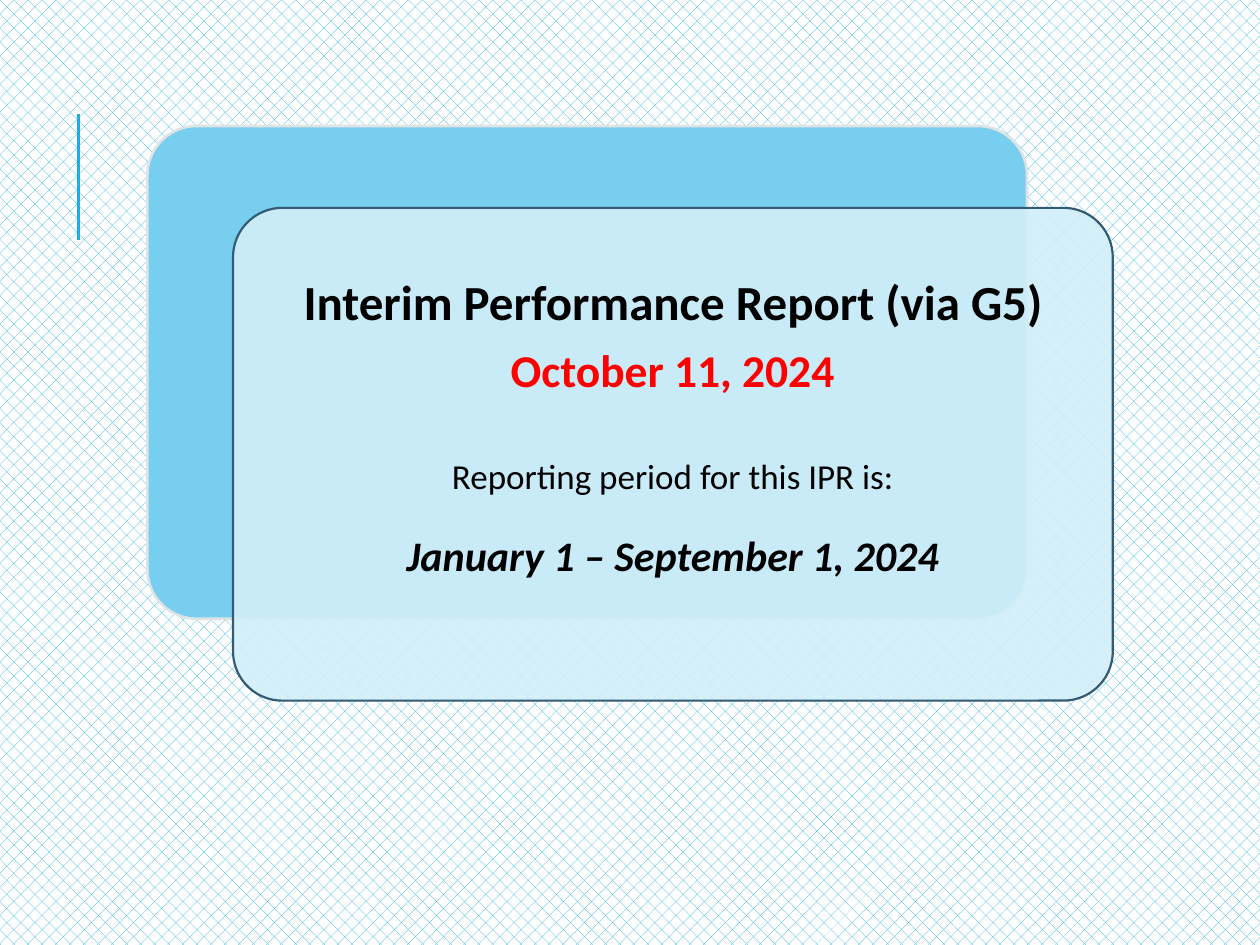
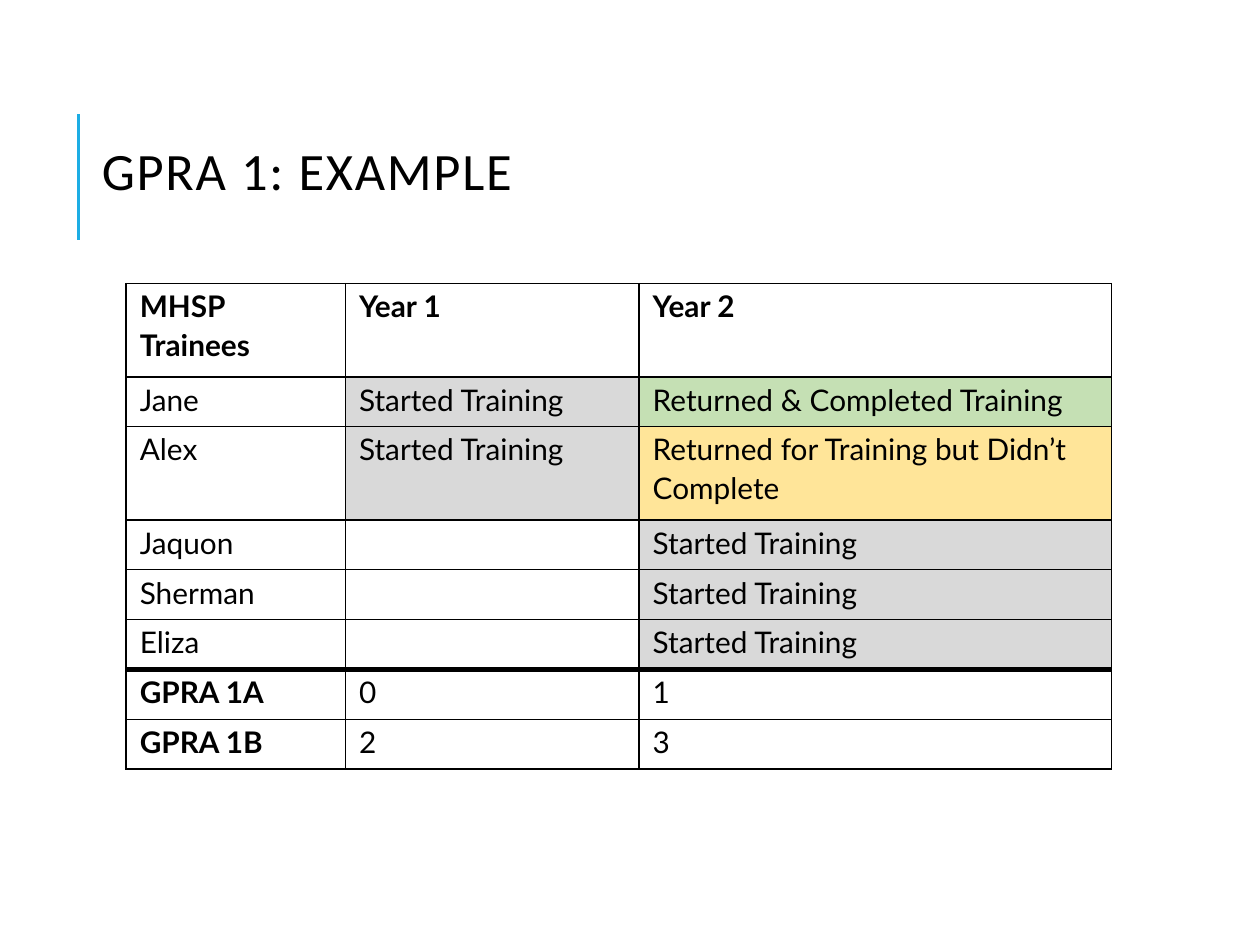
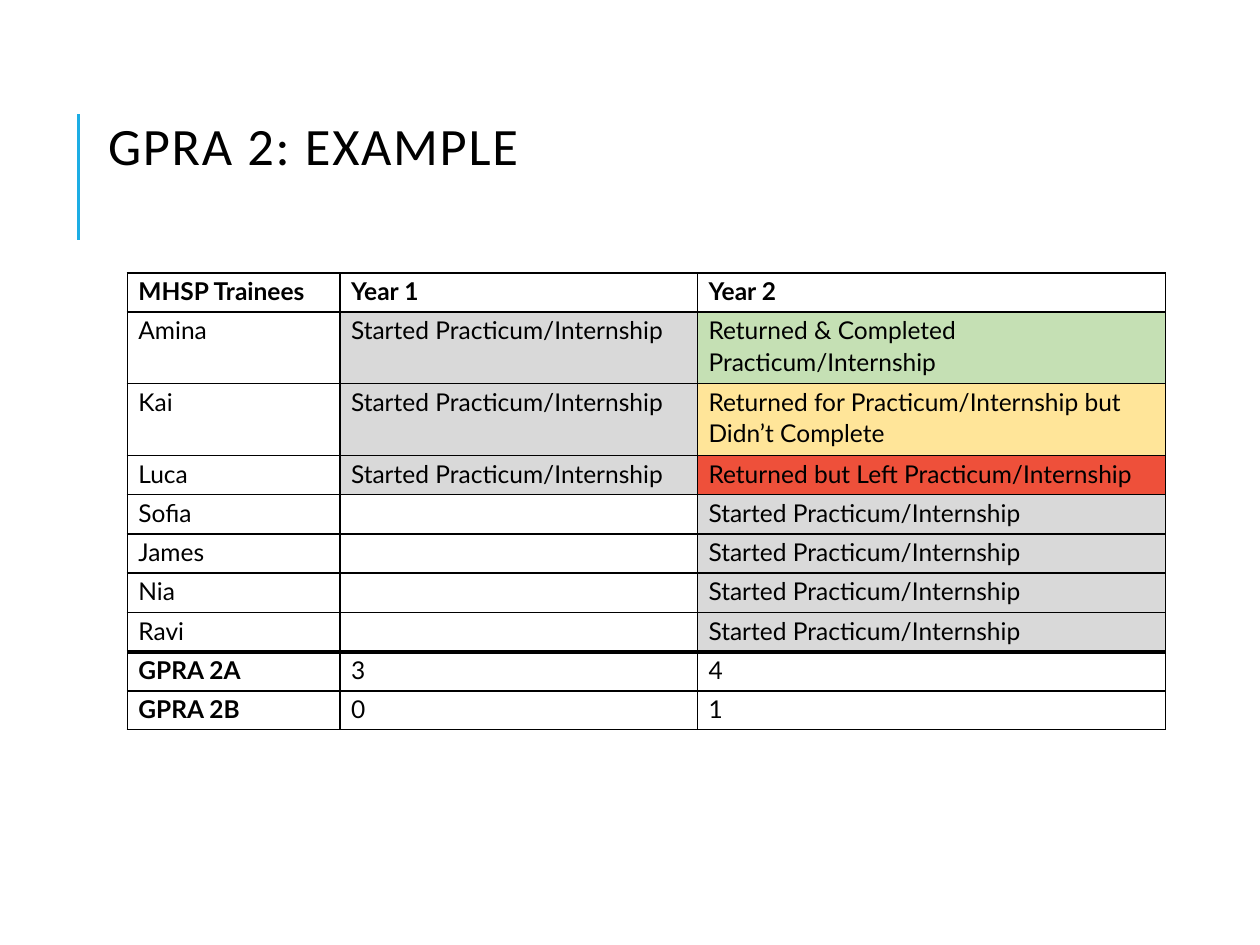
from dataclasses import dataclass

from lxml import etree
from pptx import Presentation
from pptx.dml.color import RGBColor
from pptx.enum.dml import MSO_PATTERN
from pptx.enum.shapes import MSO_CONNECTOR, MSO_SHAPE
from pptx.enum.text import MSO_ANCHOR, PP_ALIGN
from pptx.oxml.ns import qn
from pptx.util import Pt

HATCH = MSO_PATTERN.PERCENT_25
STRAIGHT = MSO_CONNECTOR.STRAIGHT
ROUNDED = MSO_SHAPE.ROUNDED_RECTANGLE
MIDDLE = MSO_ANCHOR.MIDDLE
CENTER = PP_ALIGN.CENTER


@dataclass(frozen=True)
class Theme:
    accent: str = "1CADE4"
    white: str = "FFFFFF"
    black: str = "000000"
    red: str = "FF0000"
    back_card: str = "77CEEF"
    back_edge: str = "DFE3E5"
    front_card: str = "D2EFFA"
    front_edge: str = "335B74"
    font: str = "Calibri"
    table_font: str = "Lato"
    title_size: int = 30
    heading_size: int = 28
    date_size: int = 26
    period_size: int = 24
    note_size: int = 20


theme = Theme()

STATUS_FILLS = {
    "Started": "D9D9D9",
    "Returned &": "C5E0B4",
    "Returned for": "FFE599",
    "Returned but": "EE503A",
}


def add_text(p, text, size, color=theme.black, font=theme.font, **formats):
    r = p.add_run()
    r.text = text
    r.font.color.rgb = RGBColor.from_string(color)
    for name, value in {"name": font, "size": Pt(size), **formats}.items():
        setattr(r.font, name, value)
    return r


def set_borders(cell, widths):
    """Draw the left, right, top and bottom borders, with widths in points."""
    tcPr = cell._tc.get_or_add_tcPr()
    for i, (side, width) in enumerate(zip("LRTB", widths)):
        ln = etree.Element(qn(f"a:ln{side}"), w=str(Pt(width)))
        fill = etree.SubElement(ln, qn("a:solidFill"))
        etree.SubElement(fill, qn("a:srgbClr"), val=theme.black)
        tcPr.insert(i, ln)


prs = Presentation()
prs.slide_width, prs.slide_height = Pt(720), Pt(540)

# Shared accent line and plain background
slides = []
for _ in range(3):
    slide = prs.slides.add_slide(prs.slide_layouts[6])
    slide.background.fill.solid()
    slide.background.fill.fore_color.rgb = RGBColor.from_string(theme.white)
    s = slide.shapes.add_connector(STRAIGHT, Pt(45), Pt(137), Pt(45), Pt(65))
    s.line.color.rgb = RGBColor.from_string(theme.accent)
    s.line.width = Pt(1.5)
    etree.SubElement(s._element.spPr, qn("a:effectLst"))
    slides.append(slide)

# Report deadline
report = slides[0]
fill = report.background.fill
fill.patterned()
fill.pattern = HATCH
fill.fore_color.rgb = RGBColor.from_string(theme.accent)
fill.back_color.rgb = RGBColor.from_string(theme.white)

cards = [
    (84.25, 72, theme.back_card, theme.back_edge, 1.5),
    (133.2, 118.8, theme.front_card, theme.front_edge, 1.25),
]
for left, top, color, edge, width in cards:
    s = report.shapes.add_shape(ROUNDED, Pt(left), Pt(top), Pt(502.7), Pt(281.6))
    s.adjustments[0] = 0.1
    s.shadow.inherit = False
    s.fill.solid()
    s.fill.fore_color.rgb = RGBColor.from_string(color)
    s.line.color.rgb = RGBColor.from_string(edge)
    s.line.width = Pt(width)

front = s
color = front._element.spPr.find(f"{qn('a:solidFill')}/{qn('a:srgbClr')}")
etree.SubElement(color, qn("a:alpha"), val="90000")

tf = front.text_frame
tf.word_wrap = True
tf.vertical_anchor = MIDDLE
tf.margin_left = tf.margin_right = tf.margin_top = Pt(8.6)
tf.margin_bottom = Pt(37)
lines = [
    ("Interim Performance Report (via G5)", 0, theme.heading_size, theme.black, {"bold": True}),
    ("October 11, 2024", 9.8, theme.date_size, theme.red, {"bold": True}),
    ("Reporting period for this IPR is:", 35, theme.note_size, theme.black, {}),
    ("January 1 – September 1, 2024", 22, theme.period_size, theme.black,
     {"bold": True, "italic": True}),
]
for i, (text, gap, size, color, formats) in enumerate(lines):
    p = tf.add_paragraph() if i else tf.paragraphs[0]
    p.alignment = CENTER
    p.line_spacing = 0.9
    if gap:
        p.space_before = Pt(gap)
    add_text(p, text, size, color, **formats)

# Worked examples: the last two rows of each table are the totals
TRAINING = "Started Training"
PRACTICUM = "Started Practicum/Internship"
examples = [
    {
        "title": "GPRA 1: EXAMPLE", "title_at": (51.1, 74.2), "table_at": (72, 162),
        "columns": (125.3, 167.8, 270), "row": 28.5, "tall_row": 53.3, "tall": (0, 2),
        "size": 17, "margins": (7.9, 1.4),
        "rows": [
            ("MHSP Trainees", "Year 1", "Year 2"),
            ("Jane", TRAINING, "Returned & Completed Training"),
            ("Alex", TRAINING, "Returned for Training but Didn’t Complete"),
            ("Jaquon", "", TRAINING),
            ("Sherman", "", TRAINING),
            ("Eliza", "", TRAINING),
            ("GPRA 1A", "0", "1"),
            ("GPRA 1B", "2", "3"),
        ],
    },
    {
        "title": "GPRA 2: EXAMPLE", "title_at": (54.7, 59.8), "table_at": (72.8, 156),
        "columns": (121.5, 204.3, 267.3), "row": 22.2, "tall_row": 41.1, "tall": (1, 2),
        "size": 14, "margins": (6.3, 0.9),
        "rows": [
            ("MHSP Trainees", "Year 1", "Year 2"),
            ("Amina", PRACTICUM, "Returned & Completed Practicum/Internship"),
            ("Kai", PRACTICUM, "Returned for Practicum/Internship but Didn’t Complete"),
            ("Luca", PRACTICUM, "Returned but Left Practicum/Internship"),
            ("Sofia", "", PRACTICUM),
            ("James", "", PRACTICUM),
            ("Nia", "", PRACTICUM),
            ("Ravi", "", PRACTICUM),
            ("GPRA 2A", "3", "4"),
            ("GPRA 2B", "0", "1"),
        ],
    },
]
for slide, example in zip(slides[1:], examples):
    left, top = example["title_at"]
    tf = slide.shapes.add_textbox(Pt(left), Pt(top), Pt(593.3), Pt(51.8)).text_frame
    tf.word_wrap = True
    tf.vertical_anchor = MIDDLE
    p = tf.paragraphs[0]
    p.line_spacing = 0.8
    r = add_text(p, example["title"], theme.title_size)
    r._r.get_or_add_rPr().set("spc", "100")

    rows, columns = example["rows"], example["columns"]
    heights = [example["tall_row"] if i in example["tall"] else example["row"]
               for i in range(len(rows))]
    left, top = example["table_at"]
    table = slide.shapes.add_table(len(rows), len(columns), Pt(left), Pt(top),
                                   Pt(sum(columns)), Pt(sum(heights))).table
    table.first_row = table.horz_banding = False
    for column, width in zip(table.columns, columns):
        column.width = Pt(width)

    first_total = len(rows) - 2
    side_margin, top_margin = example["margins"]
    for i, values in enumerate(rows):
        table.rows[i].height = Pt(heights[i])
        for j, text in enumerate(values):
            cell = table.cell(i, j)
            cell.margin_left = cell.margin_right = Pt(side_margin)
            cell.margin_top, cell.margin_bottom = Pt(top_margin), Pt(0)
            p = cell.text_frame.paragraphs[0]
            p.line_spacing = 1.07
            add_text(p, text, example["size"], font=theme.table_font,
                     bold=i == 0 or (j == 0 and i >= first_total))
            cell.fill.background()
            for start, color in STATUS_FILLS.items():
                if text.startswith(start):
                    cell.fill.solid()
                    cell.fill.fore_color.rgb = RGBColor.from_string(color)
            set_borders(cell, (1, 1, 3 if i == first_total else 1,
                               3 if i == first_total - 1 else 1))

prs.save("out.pptx")
